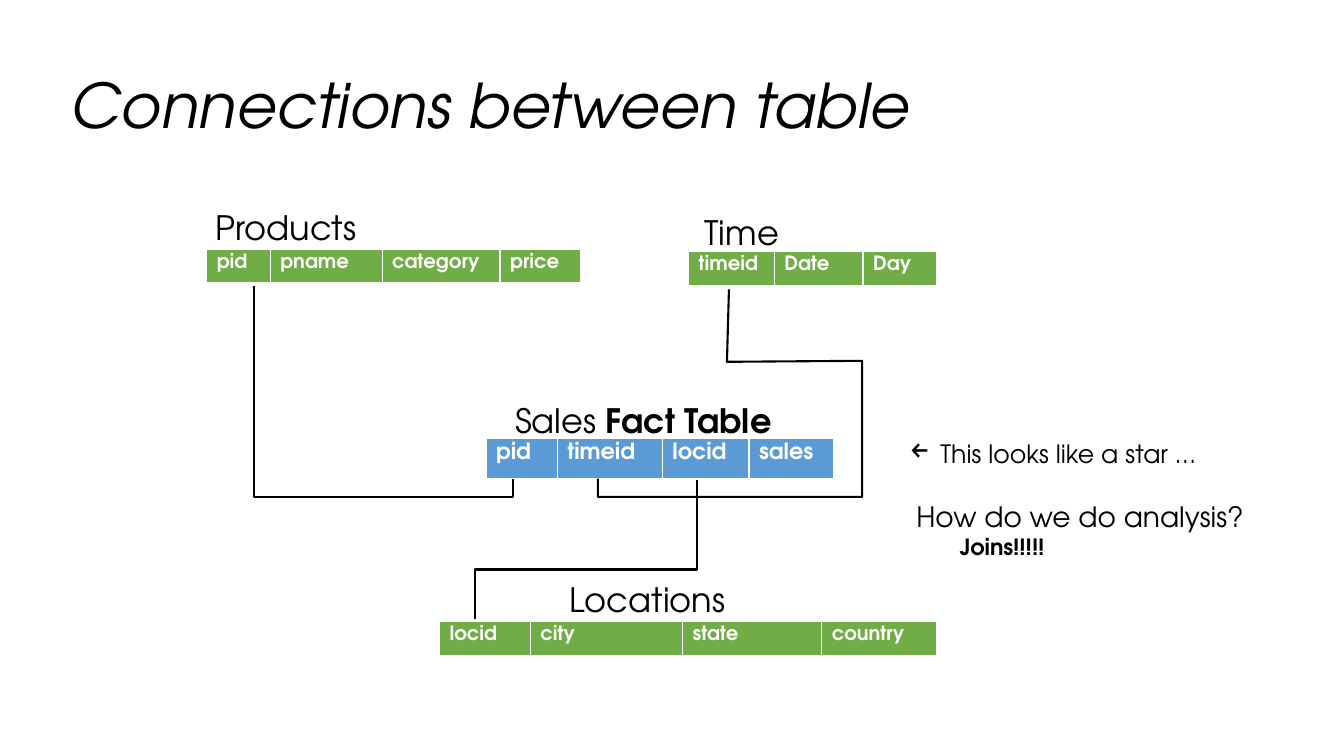
from dataclasses import dataclass

from pptx import Presentation
from pptx.dml.color import RGBColor
from pptx.enum.text import MSO_ANCHOR, MSO_AUTO_SIZE, PP_ALIGN
from pptx.oxml import parse_xml
from pptx.oxml.ns import nsdecls
from pptx.util import Emu, Pt

LEFT = PP_ALIGN.LEFT
MIDDLE = MSO_ANCHOR.MIDDLE
GROW = MSO_AUTO_SIZE.SHAPE_TO_FIT_TEXT
PX = 9144  # 100 px to the inch


@dataclass(frozen=True)
class Theme:
    face: str = "TeX Gyre Adventor"
    ink: str = "000000"
    white: str = "FFFFFF"
    blue: str = "5B9BD5"
    green: str = "70AD47"
    title: int = 44
    label: int = 24
    ask: int = 20
    note: int = 18
    fact: int = 16
    dim: int = 14


class Deck:
    def __init__(self, theme, width, height):
        self.theme = theme
        self.prs = Presentation()
        self.prs.slide_width = Emu(width * PX)
        self.prs.slide_height = Emu(height * PX)
        self.slide = self.prs.slides.add_slide(self.prs.slide_layouts[5])
        self.shapes = self.slide.shapes

    def box(self, *lengths):
        return [Emu(n * PX) for n in lengths]

    def style(self, para, size, color=None, bold=None, italic=None):
        font = para.font
        font.name = self.theme.face
        font.size = Pt(size)
        font.bold = bold
        font.italic = italic
        font.color.rgb = RGBColor.from_string(color or self.theme.ink)

    def title(self, text, *place):
        shape = self.shapes.title
        shape.left, shape.top, shape.width, shape.height = self.box(*place)
        frame = shape.text_frame
        frame.text = text
        frame.vertical_anchor = MIDDLE
        para = frame.paragraphs[0]
        para.alignment = LEFT
        para.line_spacing = 0.9
        self.style(para, self.theme.title, italic=True)

    def text(self, place, wrap):
        frame = self.shapes.add_textbox(*self.box(*place)).text_frame
        frame.word_wrap = wrap
        frame.auto_size = GROW
        return frame

    def label(self, text, *place, strong=""):
        para = self.text(place, False).paragraphs[0]
        para.add_run().text = text
        if strong:
            run = para.add_run()
            run.text = strong
            run.font.bold = True
        self.style(para, self.theme.label)

    def notes(self, lines, *place):
        frame = self.text(place, True)
        for i, (text, size, bold, margin, indent, mark, gap) in enumerate(lines):
            para = frame.add_paragraph() if i else frame.paragraphs[0]
            para.text = text
            props = para._p.get_or_add_pPr()
            props.set("marL", str(margin * PX))
            props.set("indent", str(indent * PX))
            if mark:
                props.append(parse_xml(f'<a:buChar {nsdecls("a")} char="{mark}"/>'))
            if gap:
                para.space_before = Pt(gap)
            self.style(para, size, bold=bold)

    def border(self, cell):
        props = cell._tc.get_or_add_tcPr()
        for side, width in (("L", 1), ("R", 1), ("T", 1), ("B", 3)):
            props.append(parse_xml(
                f'<a:ln{side} {nsdecls("a")} w="{Pt(width)}"><a:solidFill>'
                f'<a:srgbClr val="{self.theme.white}"/></a:solidFill></a:ln{side}>'))

    def table(self, names, widths, left, top, height, fill, size):
        place = self.box(left, top, sum(widths), height)
        table = self.shapes.add_table(1, len(names), *place).table
        for i, (name, width) in enumerate(zip(names, widths)):
            table.columns[i].width = Emu(width * PX)
            cell = table.cell(0, i)
            cell.text = name
            self.border(cell)
            cell.fill.solid()
            cell.fill.fore_color.rgb = RGBColor.from_string(fill)
            self.style(cell.text_frame.paragraphs[0], size, self.theme.white, True)

    def link(self, *points):
        pen = self.shapes.build_freeform(*points[0], scale=PX)
        pen.add_line_segments(points[1:], close=False)
        shape = pen.convert_to_shape()
        shape.shadow.inherit = False
        shape.fill.background()
        shape.line.color.rgb = RGBColor.from_string(self.theme.ink)
        shape.line.width = Pt(1.5)


def main():
    look = Theme()
    deck = Deck(look, 1333, 750)
    deck.title("Connections between table", 60, 35, 1181, 145)

    # Fact table
    deck.table(("pid", "timeid", "locid", "sales"), (71, 104, 86, 84),
               482, 435, 41, look.blue, look.fact)
    deck.label("Sales ", 501, 392, 279, 50, strong="Fact Table")

    # Dimension tables
    for names, widths, left, top, height in (
        (("locid", "city", "state", "country"), (90, 151, 138, 114), 436, 616, 36),
        (("pid", "pname", "category", "price"), (63, 111, 117, 80), 205, 247, 35),
        (("timeid", "Date", "Day"), (85, 88, 73), 683, 249, 36),
    ):
        deck.table(names, widths, left, top, height, look.green, look.dim)
    deck.label("Locations", 555, 569, 176, 50)
    deck.label("Products", 204, 200, 162, 50)
    deck.label("Time", 689, 205, 95, 50)

    # Key links
    deck.link((509, 475), (509, 493), (252, 493), (252, 284))
    deck.link((593, 475), (593, 493), (855, 493), (855, 358), (721, 359), (723, 287))
    deck.link((691, 476), (691, 565), (471, 565), (471, 614))

    # Remarks: text, size, bold, margin, indent, bullet, space before
    deck.notes((
        ("This looks like a star …", look.note, None, 31, -31, "←", 0),
        ("How do we do analysis?", look.ask, None, 7, 0, "", 22),
        ("Joins!!!!!", look.fact, True, 50, 0, "", 0),
    ), 892, 430, 356, 162)

    deck.prs.save("out.pptx")


if __name__ == "__main__":
    main()
